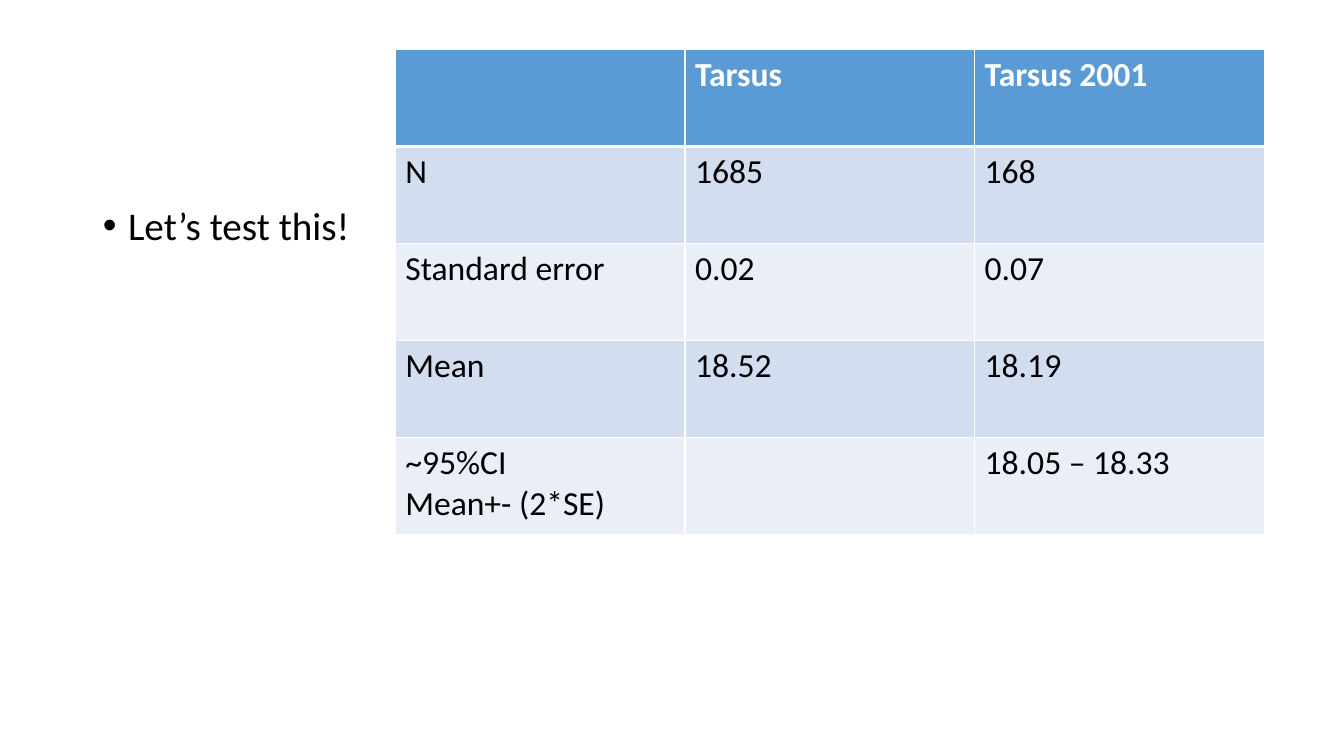
from lxml import etree
from pptx import Presentation
from pptx.dml.color import RGBColor
from pptx.enum.text import MSO_ANCHOR, MSO_AUTO_SIZE, PP_ALIGN
from pptx.oxml.ns import qn
from pptx.util import Inches, Pt

LEFT, TOP, NO_FIT = PP_ALIGN.LEFT, MSO_ANCHOR.TOP, MSO_AUTO_SIZE.NONE
FONT = "Calibri"
WHITE, BLACK = "FFFFFF", "000000"
HEADER, BANDS = "5B9BD5", ("D2DEEF", "EAEFF7")

ROWS = [
    ["", "Tarsus", "Tarsus 2001"],
    ["N", "1685", "168"],
    ["Standard error", "0.02", "0.07"],
    ["Mean", "18.52", "18.19"],
    ["~95%CI\nMean+- (2*SE)", "", "18.05 – 18.33"],
]


def rgb(color):
    return RGBColor.from_string(color)


def write(tf, text, size=24, color=BLACK, bold=False, bullet=False, spacing=None):
    tf.word_wrap = True
    for i, line in enumerate(text.split("\n")):
        p = tf.paragraphs[0] if i == 0 else tf.add_paragraph()
        p.alignment = LEFT
        p.space_before = Pt(0)
        if spacing:
            p.line_spacing = spacing
        if bullet:
            pPr = p._p.get_or_add_pPr()
            pPr.set("marL", str(Inches(0.25)))
            pPr.set("indent", str(Inches(-0.25)))
            etree.SubElement(pPr, qn("a:buFont")).set("typeface", "Arial")
            etree.SubElement(pPr, qn("a:buChar")).set("char", "•")
        if not line:
            continue
        r = p.add_run()
        r.text = line
        r.font.name, r.font.size, r.font.bold = FONT, Pt(size), bold
        r.font.color.rgb = rgb(color)


def set_borders(cell, **widths):
    tcPr = cell._tc.get_or_add_tcPr()
    # Border lines come before the fill, in this order
    for i, side in enumerate("LRTB"):
        ln = etree.Element(qn(f"a:ln{side}"), w=str(Pt(widths.get(side, 1))))
        fill = etree.SubElement(ln, qn("a:solidFill"))
        etree.SubElement(fill, qn("a:srgbClr")).set("val", WHITE)
        tcPr.insert(i, ln)


def add_body(s, x, y, w, h):
    body = s.placeholders[1]
    body.left, body.top = Inches(x), Inches(y)
    body.width, body.height = Inches(w), Inches(h)
    tf = body.text_frame
    tf.auto_size, tf.vertical_anchor = NO_FIT, TOP
    write(tf, "Let’s test this!", size=28, bullet=True, spacing=0.9)


def add_results_table(s, x, y, w, h):
    table = s.shapes.add_table(len(ROWS), len(ROWS[0]), Inches(x), Inches(y),
                               Inches(w), Inches(h)).table
    for i, row in enumerate(ROWS):
        for j, text in enumerate(row):
            cell = table.cell(i, j)
            cell.fill.solid()
            cell.fill.fore_color.rgb = rgb(BANDS[(i - 1) % 2] if i else HEADER)
            # Thick rule between header and data
            set_borders(cell, B=1 if i else 3, T=3 if i == 1 else 1)
            write(cell.text_frame, text, color=BLACK if i else WHITE, bold=i == 0)


def main():
    prs = Presentation()
    prs.slide_width, prs.slide_height = Inches(13.33), Inches(7.5)
    s = prs.slides.add_slide(prs.slide_layouts[1])
    # This slide has no title
    title = s.shapes.title._element
    title.getparent().remove(title)
    add_body(s, 0.92, 2, 2.86, 4.76)
    add_results_table(s, 3.92, 0.49, 8.62, 4.81)
    prs.save("out.pptx")


if __name__ == "__main__":
    main()
